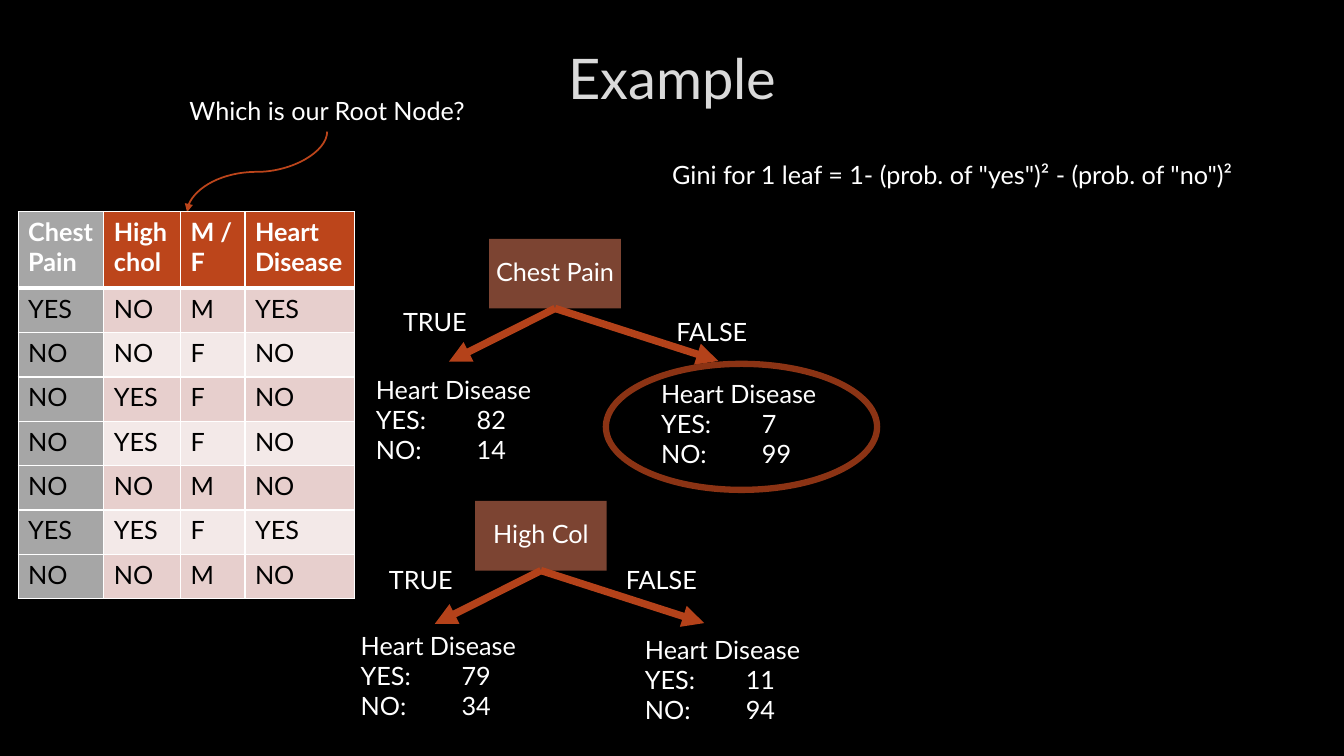
from lxml import etree
from pptx import Presentation, util as u
from pptx.dml.color import RGBColor
from pptx.enum import shapes, text
from pptx.oxml import ns

WHITE = RGBColor(0xFF, 0xFF, 0xFF)
BLACK = RGBColor(0, 0, 0)
TITLE = RGBColor(0xDA, 0xDA, 0xDA)
NODE = RGBColor(0x7C, 0x44, 0x32)
BRANCH = RGBColor(0xB4, 0x42, 0x1A)
HEADER = RGBColor(0xBC, 0x45, 0x1B)
RING = RGBColor(0x8B, 0x33, 0x14)
GRAY = RGBColor(0xA6, 0xA6, 0xA6)
BANDS = [RGBColor(0xE7, 0xCF, 0xCD), RGBColor(0xF3, 0xE9, 0xE8)]

prs = Presentation()
prs.slide_width, prs.slide_height = u.Inches(13.33), u.Inches(7.5)
# The grid has 100 columns and 100 rows
COL, ROW = prs.slide_width / 100, prs.slide_height / 100
s = prs.slides.add_slide(prs.slide_layouts[6])
s.background.fill.solid()
s.background.fill.fore_color.rgb = BLACK


def write(tf, lines, size=18, color=WHITE, align=None, bold=False, tab=None):
    for i, line in enumerate(lines):
        p = tf.paragraphs[0] if i == 0 else tf.add_paragraph()
        p.alignment = align
        if tab:
            tabs = etree.SubElement(p._p.get_or_add_pPr(), ns.qn("a:tabLst"))
            etree.SubElement(tabs, ns.qn("a:tab"), pos=str(tab), algn="l")
        r = p.add_run()
        r.text = line
        r.font.color.rgb = color
        for name, value in {"name": "Lato", "size": u.Pt(size), "bold": bold}.items():
            setattr(r.font, name, value)


def arrow(kind, x1, y1, x2, y2, color, width):
    c = s.shapes.add_connector(kind, int(x1 * COL), int(y1 * ROW), int(x2 * COL), int(y2 * ROW))
    c.line.color.rgb = color
    c.line.width = u.Pt(width)
    etree.SubElement(c.line._get_or_add_ln(), ns.qn("a:tailEnd"), type="triangle")
    etree.SubElement(c._element.spPr, ns.qn("a:effectLst"))
    return c


# Decision trees: root name and place, then text and place of labels and leaves
trees = [
    ("High Col", 35.35, 66.27,
     [("TRUE", 28.2, 74), ("FALSE", 45.83, 74)],
     [(79, 34, 26.1, 82.67), (11, 94, 47.25, 83.2)]),
    ("Chest Pain", 36.4, 31.6,
     [("TRUE", 29.25, 39.87), ("FALSE", 49.58, 41.2)],
     [(82, 14, 27.23, 48.8), (7, 99, 48.45, 49.33)]),
]

# Text boxes: lines, column, row, width, height, wrap, format
boxes = [
    (["Example"], 7.58, 3.07, 84.9, 14.13, True,
     {"size": 40, "color": TITLE, "align": text.PP_ALIGN.CENTER}),
    (["Which is our Root Node?"], 13.35, 12, 21.98, 5.33, False, {}),
    (['Gini for 1 leaf = 1- (prob. of "yes")² - (prob. of "no")²'],
     49.28, 20.4, 44.48, 5.33, False, {}),
]

# Roots and branches
for root, x, y, labels, leaves in trees:
    sp = s.shapes.add_shape(shapes.MSO_SHAPE.RECTANGLE,
                            int(x * COL), int(y * ROW), int(9.8 * COL), int(9.2 * ROW))
    sp.shadow.inherit = False
    sp.fill.solid()
    sp.fill.fore_color.rgb = NODE
    sp.line.fill.background()
    tf = sp.text_frame
    tf.vertical_anchor = text.MSO_ANCHOR.MIDDLE
    for side in ("left", "top", "right", "bottom"):
        setattr(tf, "margin_" + side, u.Inches(0.04))
    write(tf, [root], align=text.PP_ALIGN.CENTER)
    tf.paragraphs[0].line_spacing = 0.9
    for dx, dy in [(-3, 16.25), (17.05, 16.15)]:
        arrow(shapes.MSO_CONNECTOR.STRAIGHT, x + 4.9, y + 9.2, x + dx, y + dy, BRANCH, 5.25)
    for label, left, top in labels:
        boxes.append(([label], left, top, 13.73, 5.33, True, {}))
    for yes, no, left, top in leaves:
        boxes.append((["Heart Disease", f"YES:\t{yes}", f"NO:\t{no}"],
                      left, top, 13.73, 13.47, True, {"tab": u.Inches(1)}))

# Title, question, formula, branch labels and leaves
for lines, x, y, w, h, wrap, style in boxes:
    tf = s.shapes.add_textbox(int(x * COL), int(y * ROW), int(w * COL), int(h * ROW)).text_frame
    tf.word_wrap = wrap
    tf.vertical_anchor = text.MSO_ANCHOR.MIDDLE if "size" in style else text.MSO_ANCHOR.TOP
    write(tf, lines, **style)

# Curved arrow from the question to the table, turned a quarter
c = arrow(shapes.MSO_CONNECTOR.CURVE, 16.13, 13.47, 22.13, 32, HEADER, 1.25)
c._element.spPr.find(ns.qn("a:xfrm")).set("rot", str(90 * 60000))

# Patient table
rows = [
    ["Chest Pain", "High chol", "M / F", "Heart Disease"],
    ["YES", "NO", "M", "YES"],
    ["NO", "NO", "F", "NO"],
    ["NO", "YES", "F", "NO"],
    ["NO", "YES", "F", "NO"],
    ["NO", "NO", "M", "NO"],
    ["YES", "YES", "F", "YES"],
    ["NO", "NO", "M", "NO"],
]
widths = [6.38, 5.7, 4.8, 8.18]
heights = [10.13] + [5.87] * (len(rows) - 1)
table = s.shapes.add_table(len(rows), len(widths), int(1.35 * COL), int(28 * ROW),
                           int(sum(widths) * COL), int(sum(heights) * ROW)).table
for column, w in zip(table.columns, widths):
    column.width = int(w * COL)
for i, row in enumerate(rows):
    table.rows[i].height = int(heights[i] * ROW)
    for j, value in enumerate(row):
        cell = table.cell(i, j)
        head = i == 0
        for edge in "LRTB":
            thick = (head and edge == "B") or (i == 1 and edge == "T")
            ln = etree.SubElement(cell._tc.get_or_add_tcPr(), ns.qn("a:ln" + edge),
                                  w=str(u.Pt(3 if thick else 1)))
            fill = etree.SubElement(ln, ns.qn("a:solidFill"))
            etree.SubElement(fill, ns.qn("a:srgbClr"), val=str(WHITE))
        cell.fill.solid()
        cell.fill.fore_color.rgb = GRAY if j == 0 else HEADER if head else BANDS[(i - 1) % 2]
        write(cell.text_frame, [value], color=WHITE if head else BLACK, bold=head)

# Ring around the FALSE leaf of Chest Pain
ring = s.shapes.add_shape(shapes.MSO_SHAPE.OVAL, int(45.08 * COL), int(48.13 * ROW),
                          int(20.18 * COL), int(16.67 * ROW))
ring.shadow.inherit = False
ring.fill.background()
ring.line.color.rgb = RING
ring.line.width = u.Pt(4.5)

prs.save("out.pptx")
